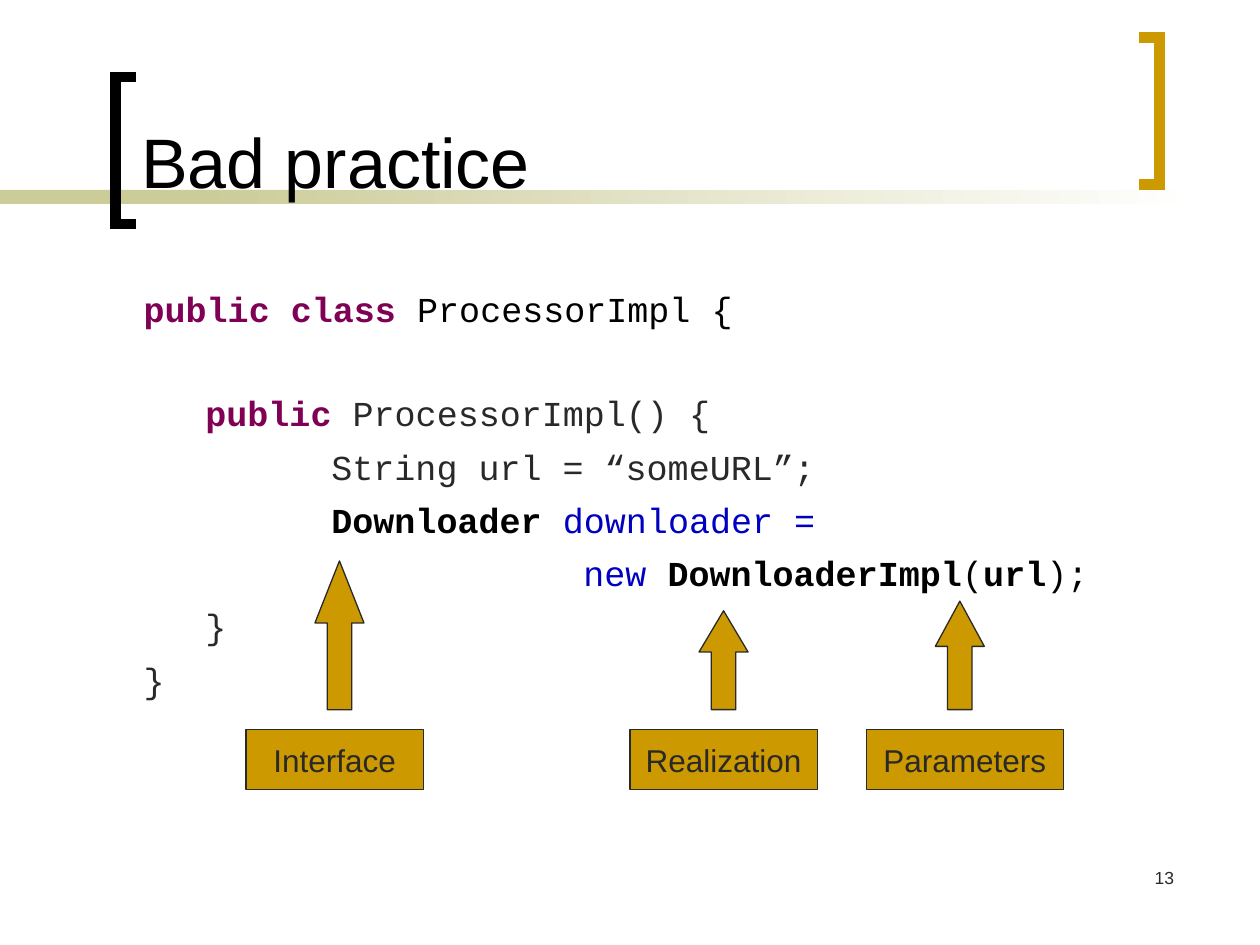
from dataclasses import dataclass

from lxml.etree import SubElement
from pptx import Presentation
from pptx.dml.color import RGBColor
from pptx.enum.shapes import MSO_SHAPE as Preset
from pptx.enum.text import MSO_ANCHOR as Anchor, PP_ALIGN as Align
from pptx.oxml.ns import qn
from pptx.shapes.autoshape import Shape
from pptx.slide import Slide
from pptx.text.text import Font, TextFrame
from pptx.util import Pt


@dataclass(frozen=True)
class Theme:
    black: str = "000000"
    dark: str = "292929"
    gold: str = "CC9900"
    sand: str = "CCCC99"
    white: str = "FFFFFF"
    keyword: str = "7F0055"
    variable: str = "0000C0"
    sans: str = "Arial"
    mono: str = "Courier New"
    title_size: float = 40
    code_size: float = 20
    label_size: float = 18
    number_size: float = 10


THEME = Theme()


@dataclass(frozen=True)
class Box:
    left: float
    top: float
    width: float
    height: float

    def lengths(self) -> tuple[Pt, ...]:
        return tuple(Pt(v) for v in (self.left, self.top, self.width, self.height))


@dataclass(frozen=True)
class Bracket:
    open_x: float
    spine_x: float
    top: float
    color: str


@dataclass(frozen=True)
class Callout:
    text: str
    left: float
    width: float
    arrow_left: float
    arrow_top: float


@dataclass(frozen=True)
class Piece:
    text: str
    color: str
    bold: bool = False


@dataclass(frozen=True)
class CodeLine:
    indent: float
    pieces: tuple[Piece, ...]
    space_before: float = 6.4


BRACKET_HEIGHT = 84
LABEL_TOP, LABEL_HEIGHT = 417, 34
ARROW_BOTTOM, ARROW_WIDTH = 405.5, 28

BRACKETS = (
    Bracket(78, 66, 44, THEME.black),
    Bracket(651, 662.5, 21.5, THEME.gold),
)

CALLOUTS = (
    Callout("Interface", 140.5, 101.5, 180, 320.5),
    Callout("Realization", 360, 107, 399.5, 349),
    Callout("Parameters", 495, 112.5, 534.5, 343.5),
)

# Code indents: one member level, then tab stops of 72 points
MEMBER = 35.3
BODY = MEMBER + 72
CONTINUATION = MEMBER + 3 * 72

CODE = (
    CodeLine(0, (Piece("public class", THEME.keyword, True),
                 Piece(" ProcessorImpl {", THEME.black)), 0),
    CodeLine(MEMBER, (Piece("public", THEME.keyword, True),
                      Piece(" ProcessorImpl() {", THEME.dark)), 35.4),
    CodeLine(BODY, (Piece("String url = “someURL”;", THEME.dark),)),
    CodeLine(BODY, (Piece("Downloader ", THEME.black, True),
                    Piece("downloader =", THEME.variable))),
    CodeLine(CONTINUATION, (Piece("new ", THEME.variable),
                            Piece("DownloaderImpl", THEME.black, True),
                            Piece("(", THEME.black),
                            Piece("url", THEME.black, True),
                            Piece(");", THEME.black))),
    CodeLine(MEMBER, (Piece("}", THEME.dark),)),
    CodeLine(0, (Piece("}", THEME.dark),)),
)


def style_font(font: Font, name: str, size: float, color: str, bold: bool = False) -> None:
    font.name, font.size, font.bold = name, Pt(size), bold
    font.color.rgb = RGBColor.from_string(color)


def add_preset(slide: Slide, preset: Preset, box: Box, fill: str, line: str | None = None) -> Shape:
    shape = slide.shapes.add_shape(preset, *box.lengths())
    shape.shadow.inherit = False
    shape.fill.solid()
    shape.fill.fore_color.rgb = RGBColor.from_string(fill)
    if line is None:
        shape.line.fill.background()
    else:
        shape.line.color.rgb = RGBColor.from_string(line)
        shape.line.width = Pt(0.75)
    return shape


def add_text_box(slide: Slide, box: Box, anchor: Anchor = Anchor.TOP) -> TextFrame:
    text_frame = slide.shapes.add_textbox(*box.lengths()).text_frame
    text_frame.word_wrap = True
    text_frame.vertical_anchor = anchor
    return text_frame


def write(text_frame: TextFrame, text: str, size: float, color: str, align: Align) -> None:
    text_frame.text = text
    paragraph = text_frame.paragraphs[0]
    paragraph.alignment = align
    style_font(paragraph.runs[0].font, THEME.sans, size, color)


def add_title_band(slide: Slide) -> None:
    add_preset(slide, Preset.RECTANGLE, Box(0, 108.5, 168, 8), THEME.sand)
    fade = add_preset(slide, Preset.RECTANGLE, Box(114, 108.5, 570, 8), THEME.sand)
    fade.fill.gradient()
    fade.fill.gradient_angle = 0
    for stop, position, color in zip(fade.fill.gradient_stops, (0, 1), (THEME.sand, THEME.white)):
        stop.position = position
        stop.color.rgb = RGBColor.from_string(color)


def add_bracket(slide: Slide, bracket: Bracket) -> None:
    bottom = bracket.top + BRACKET_HEIGHT
    builder = slide.shapes.build_freeform(Pt(bracket.open_x), Pt(bracket.top))
    corners = ((bracket.spine_x, bracket.top), (bracket.spine_x, bottom), (bracket.open_x, bottom))
    builder.add_line_segments([(Pt(x), Pt(y)) for x, y in corners], close=False)
    shape = builder.convert_to_shape()
    shape.shadow.inherit = False
    shape.fill.background()
    shape.line.color.rgb = RGBColor.from_string(bracket.color)
    shape.line.width = Pt(6)
    SubElement(shape.line._get_or_add_ln(), qn("a:miter"), lim="800000")


def add_code(slide: Slide, box: Box, lines: tuple[CodeLine, ...]) -> None:
    text_frame = add_text_box(slide, box)
    text_frame.text = "\n".join("".join(p.text for p in line.pieces) for line in lines)
    for paragraph, line in zip(text_frame.paragraphs, lines):
        paragraph.space_before = Pt(line.space_before)
        paragraph._p.get_or_add_pPr().set("marL", str(Pt(line.indent)))
        paragraph.clear()
        for piece in line.pieces:
            run = paragraph.add_run()
            run.text = piece.text
            style_font(run.font, THEME.mono, THEME.code_size, piece.color, piece.bold)


def add_callout(slide: Slide, callout: Callout) -> None:
    label = add_preset(slide, Preset.FLOWCHART_PROCESS,
                       Box(callout.left, LABEL_TOP, callout.width, LABEL_HEIGHT),
                       THEME.gold, THEME.dark)
    label.text_frame.word_wrap = False
    label.text_frame.vertical_anchor = Anchor.MIDDLE
    write(label.text_frame, callout.text, THEME.label_size, THEME.dark, Align.CENTER)

    height = ARROW_BOTTOM - callout.arrow_top
    arrow = add_preset(slide, Preset.UP_ARROW,
                       Box(callout.arrow_left, callout.arrow_top, ARROW_WIDTH, height),
                       THEME.gold, THEME.dark)
    arrow.adjustments[0] = 0.5
    arrow.adjustments[1] = 0.417 * height / ARROW_WIDTH


def main() -> None:
    presentation = Presentation()
    presentation.slide_width, presentation.slide_height = Pt(720), Pt(540)
    slide = presentation.slides.add_slide(presentation.slide_layouts[6])

    # Title with its band and brackets
    add_title_band(slide)
    for bracket in BRACKETS:
        add_bracket(slide, bracket)
    title = add_text_box(slide, Box(73.5, 8, 564, 111.5), Anchor.BOTTOM)
    write(title, "Bad practice", THEME.title_size, THEME.black, Align.LEFT)

    # Code listing and the callouts that point into it
    add_code(slide, Box(75, 161, 603, 319), CODE)
    for callout in CALLOUTS:
        add_callout(slide, callout)

    # Slide number
    number = add_text_box(slide, Box(528, 492, 150, 36))
    write(number, "13", THEME.number_size, THEME.dark, Align.RIGHT)

    presentation.save("out.pptx")


if __name__ == "__main__":
    main()
